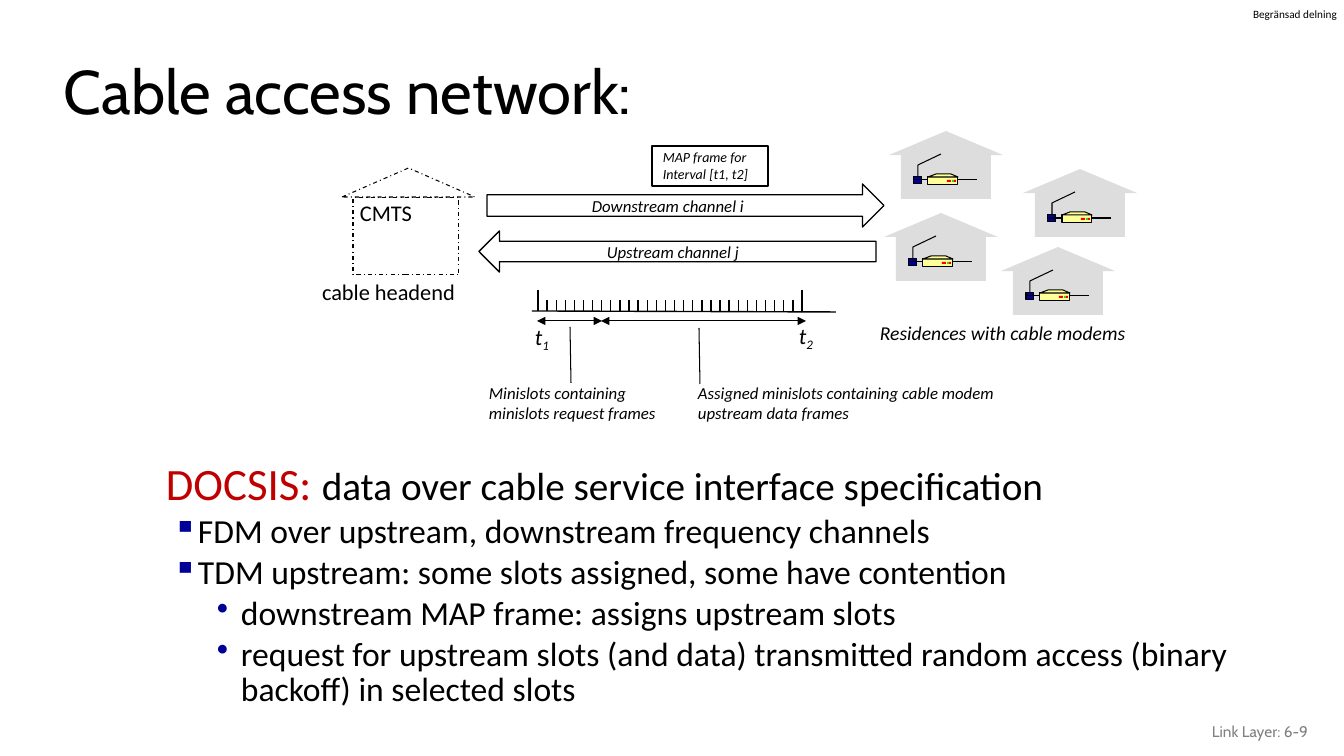
from dataclasses import dataclass

import pptx
import pptx.dml.color
import pptx.enum.dml
import pptx.enum.shapes
import pptx.enum.text
import pptx.oxml.ns
import pptx.util
from lxml import etree

PX = 914400 / 100.8
SHAPE = pptx.enum.shapes.MSO_SHAPE
ALIGN = pptx.enum.text.PP_ALIGN


@dataclass(frozen=True)
class Theme:
    heading_font: str = "Cabin"
    body_font: str = "Calibri"
    ink: str = "000000"
    grey: str = "808080"
    accent: str = "C00000"
    bullet: str = "000099"
    house: str = "DDDDDD"
    modem: str = "FFFF99"
    red_light: str = "FF0000"
    green_light: str = "33CC33"
    tiny: int = 8
    note: int = 10
    footer: int = 11
    label: int = 12
    caption: int = 14
    station: int = 16
    bullet_size: int = 24
    intro: int = 28
    keyword: int = 32
    title: int = 44
    thin: float = 0.75
    normal: float = 1


theme = Theme()

# Boxes are (left, top, width, height) in px.
TITLE = ("Cable access network:", (54, 45, 1273, 99))
FOOTER = ("Link Layer: 6-9", (1016, 711, 302, 40))
SHARING = ("Begränsad delning", (1253, 7, 87, 13))

DIAGRAM_LABELS = [
    ("Residences with cable modems", (870, 316, 269, 34), theme.caption),
    ("Downstream channel i", (582, 191, 174, 30), theme.label),
    ("Upstream channel j", (597, 237, 154, 30), theme.label),
    ("Assigned minislots containing cable modem\nupstream data frames",
     (688, 378, 320, 50), theme.label),
    ("Minislots containing\nminislots request frames",
     (479, 378, 188, 50), theme.label),
]
MAP_FRAME = ("MAP frame for\nInterval [t1, t2]", (653, 144, 107, 44))
TIME_MARKS = [("1", (525, 318, 35, 37)), ("2", (789, 317, 35, 37))]
HEADEND = ("cable headend", (282, 278, 213, 32))
CMTS = ("CMTS", (350, 194, 105, 37))

OUTLINES = [
    (SHAPE.RIGHT_ARROW, (487, 184, 397, 43), theme.normal, False),
    (SHAPE.LEFT_ARROW, (479, 231, 397, 41), theme.normal, False),
    (SHAPE.RECTANGLE, (652, 146, 116, 40), theme.normal, False),
    (SHAPE.RECTANGLE, (353, 198, 106, 77), theme.thin, True),
    (SHAPE.ISOSCELES_TRIANGLE, (342, 168, 133, 29), theme.thin, True),
]

AXIS = ((532, 311), (836, 312))
TICK_START, TICK_END, TICK_STEPS = 538, 802, 29
TICK_BOTTOM, END_TICK_TOP, TICK_TOP = 311, 290, 300
INTERVALS = [((537, 321), (602, 321)), ((601, 321), (806, 321))]
POINTERS = [((570, 327), (571, 383)), ((699, 328), (700, 384))]

HOUSES = [(889, 131), (1023, 169), (1001, 247), (884, 213)]
LIGHTS = [(65, theme.red_light), (63, theme.green_light),
          (60, theme.red_light), (58, theme.red_light)]

BODY_BOX = (156, 459, 1096, 252)
INTRO = [("DOCSIS: ", theme.keyword, theme.accent),
         ("data over cable service interface specification", theme.intro, theme.ink)]
BULLETS = [
    (0, "FDM over upstream, downstream frequency channels"),
    (0, "TDM upstream: some slots assigned, some have contention"),
    (1, "downstream MAP frame: assigns upstream slots"),
    (1, "request for upstream slots (and data) transmitted random access "
        "(binary backoff) in selected slots"),
]
BULLET_LEVELS = [("▪", 31), ("•", 75)]
BULLET_HANG = 24

presentation = pptx.Presentation()
presentation.slide_width = pptx.util.Inches(13.333)
presentation.slide_height = pptx.util.Inches(7.5)
slide = presentation.slides.add_slide(presentation.slide_layouts[6])


def emu(*lengths):
    return [round(length * PX) for length in lengths]


def rgb(color):
    return pptx.dml.color.RGBColor.from_string(color)


def add_xml(parent, tag, **attributes):
    return etree.SubElement(parent, pptx.oxml.ns.qn(tag), attributes)


def format_run(run, size, color=theme.ink, font=theme.body_font, italic=False):
    run.font.size = pptx.util.Pt(size)
    run.font.color.rgb = rgb(color)
    run.font.name = font
    run.font.italic = italic


def add_text(text, box, size, wrap=True, align=ALIGN.LEFT, spacing=None,
             middle=False, margin=None, **style):
    text_frame = slide.shapes.add_textbox(*emu(*box)).text_frame
    text_frame.word_wrap = wrap
    if middle:
        text_frame.vertical_anchor = pptx.enum.text.MSO_ANCHOR.MIDDLE
    if margin is not None:
        text_frame.margin_left = text_frame.margin_right = margin
        text_frame.margin_top = text_frame.margin_bottom = margin
    text_frame.text = text
    for paragraph in text_frame.paragraphs:
        paragraph.alignment = align
        paragraph.line_spacing = spacing
        for run in paragraph.runs:
            format_run(run, size, **style)
    return text_frame


def paint(shape, fill=None, line=None):
    """Fill with a colour and outline in ink at the given width, or neither."""
    shape.shadow.inherit = False
    if fill:
        shape.fill.solid()
        shape.fill.fore_color.rgb = rgb(fill)
    else:
        shape.fill.background()
    if line:
        shape.line.color.rgb = rgb(theme.ink)
        shape.line.width = pptx.util.Pt(line)
    else:
        shape.line.fill.background()
    return shape


def add_line(shapes, start, end, width=theme.thin, arrows=False):
    connector = shapes.add_connector(
        pptx.enum.shapes.MSO_CONNECTOR.STRAIGHT, *emu(*start, *end))
    connector.line.color.rgb = rgb(theme.ink)
    connector.line.width = pptx.util.Pt(width)
    if arrows:
        for tag in ("a:headEnd", "a:tailEnd"):
            add_xml(connector.line._get_or_add_ln(), tag, type="triangle")
    add_xml(connector._element.spPr, "a:effectLst")


def add_house(left, top):
    shapes = slide.shapes.add_group_shape().shapes

    def part(kind, x, y, width, height, fill, line=None):
        box = emu(left + x, top + y, width, height)
        paint(shapes.add_shape(kind, *box), fill, line)

    def outline(points, close, fill=None):
        first, *rest = [emu(left + x, top + y) for x, y in points]
        builder = shapes.build_freeform(*first)
        builder.add_line_segments(rest, close=close)
        paint(builder.convert_to_shape(), fill, theme.thin)

    part(SHAPE.ISOSCELES_TRIANGLE, 0, 0, 114, 24, theme.house)
    part(SHAPE.RECTANGLE, 12, 21, 90, 47, theme.house)
    part(SHAPE.RECTANGLE, 39, 46, 30, 8, theme.modem, theme.thin)
    for x, color in LIGHTS:
        part(SHAPE.RECTANGLE, x, 49, 2, 2, color)
    outline([(69, 46), (62, 43), (47, 43), (39, 46)], True, theme.modem)
    part(SHAPE.RECTANGLE, 25, 46, 8, 7, theme.bullet, theme.thin)
    outline([(29, 45), (29, 34), (52, 23)], False)
    for start, end in [(88, 69), (26, 38)]:
        add_line(shapes, (left + start, top + 49), (left + end, top + 49))


def add_body():
    text_frame = add_text("", BODY_BOX, theme.bullet_size)
    paragraph = text_frame.paragraphs[0]
    paragraph.line_spacing = 0.85
    for text, size, color in INTRO:
        run = paragraph.add_run()
        run.text = text
        format_run(run, size, color)
    for level, text in BULLETS:
        character, indent = BULLET_LEVELS[level]
        paragraph = text_frame.add_paragraph()
        paragraph.text = text
        paragraph.level = level
        paragraph.line_spacing = 0.85
        paragraph.space_before = pptx.util.Pt(theme.bullet_size * 0.2)
        properties = paragraph._p.get_or_add_pPr()
        properties.set("marL", str(emu(indent)[0]))
        properties.set("indent", str(emu(-BULLET_HANG)[0]))
        add_xml(add_xml(properties, "a:buClr"), "a:srgbClr", val=theme.bullet)
        add_xml(properties, "a:buChar", char=character)
        format_run(paragraph.runs[0], theme.bullet_size)


add_text(*SHARING, theme.tiny, wrap=False, margin=0)
add_text(*TITLE, theme.title, spacing=0.9, middle=True, font=theme.heading_font)
add_text(*FOOTER, theme.footer, align=ALIGN.RIGHT, middle=True,
         font=theme.heading_font, color=theme.grey)
add_body()

for kind, box, width, dashed in OUTLINES:
    shape = paint(slide.shapes.add_shape(kind, *emu(*box)), line=width)
    if dashed:
        shape.line.dash_style = pptx.enum.dml.MSO_LINE.DASH_DOT

add_line(slide.shapes, *AXIS, theme.normal)
for index in range(TICK_STEPS + 1):
    x = TICK_START + index * (TICK_END - TICK_START) / TICK_STEPS
    tick_top = END_TICK_TOP if index in (0, TICK_STEPS) else TICK_TOP
    add_line(slide.shapes, (x, tick_top), (x, TICK_BOTTOM), theme.normal)
for start, end in INTERVALS:
    add_line(slide.shapes, start, end, arrows=True)
for start, end in POINTERS:
    add_line(slide.shapes, start, end)

for text, box, size in DIAGRAM_LABELS:
    add_text(text, box, size, wrap=False, italic=True)
add_text(*MAP_FRAME, theme.note, wrap=False, spacing=pptx.util.Pt(12), italic=True)
add_text(*HEADEND, theme.station, align=ALIGN.CENTER, spacing=0.8)
add_text(*CMTS, theme.station)
for number, box in TIME_MARKS:
    text_frame = add_text("t", box, theme.station, wrap=False, italic=True)
    subscript = text_frame.paragraphs[0].add_run()
    subscript.text = number
    format_run(subscript, theme.station, italic=True)
    subscript._r.get_or_add_rPr().set("baseline", "-25000")

for left, top in HOUSES:
    add_house(left, top)

presentation.save("out.pptx")
